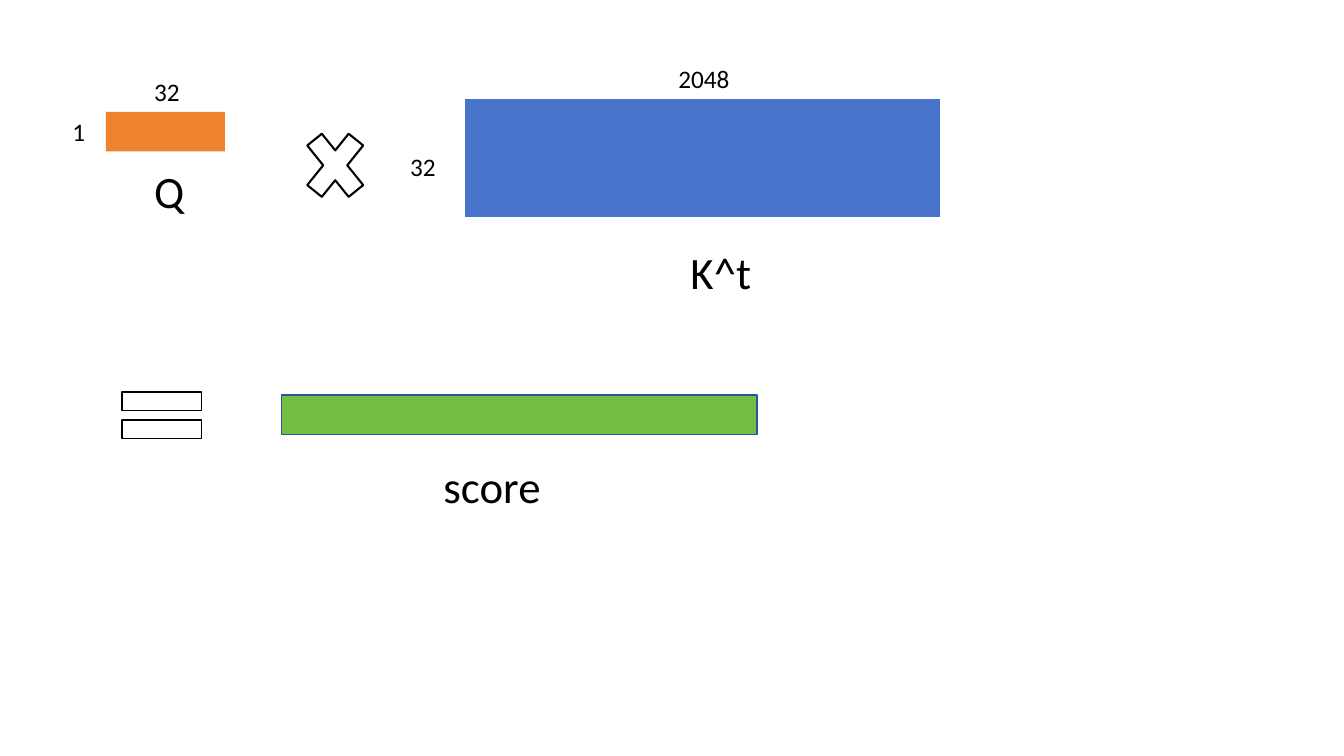
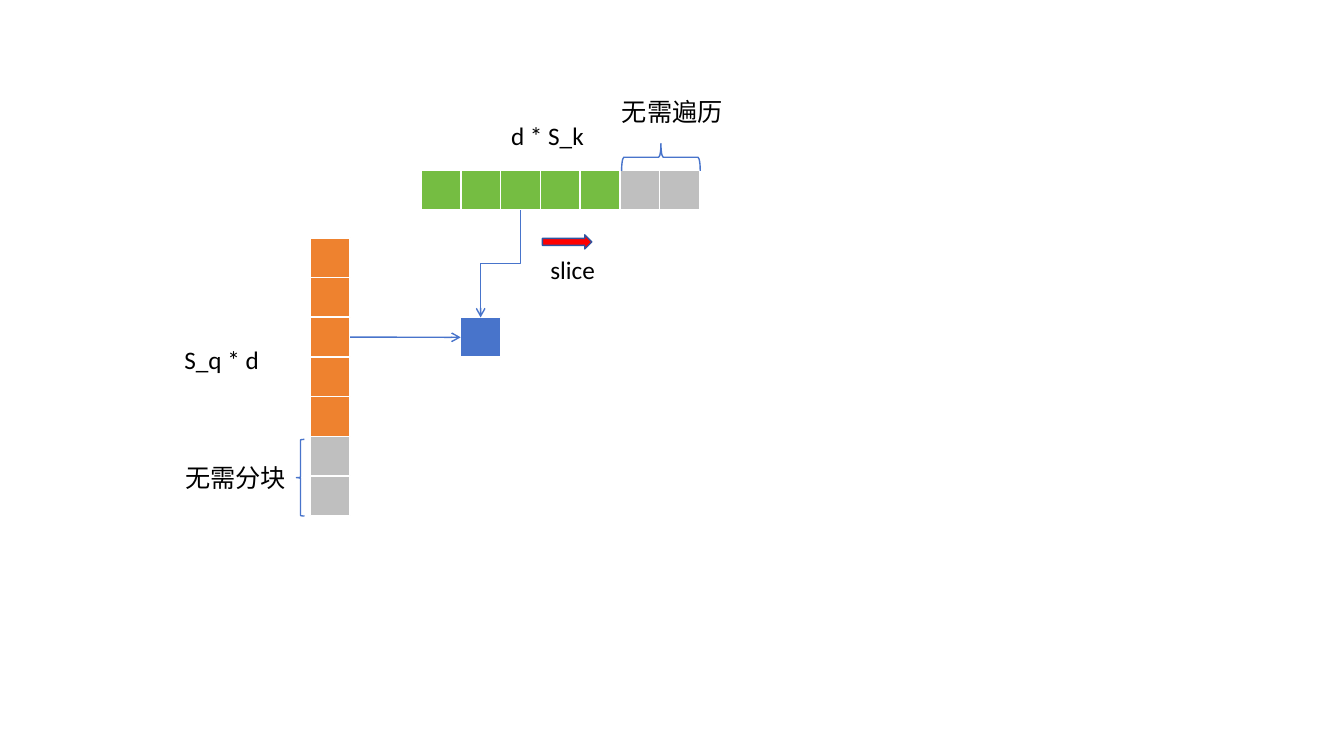
import lxml.etree
import pptx
import pptx.dml.color
import pptx.enum.shapes
import pptx.enum.text
import pptx.oxml.ns
import pptx.util

Inches = pptx.util.Inches
SHAPE = pptx.enum.shapes.MSO_SHAPE
CONNECTOR = pptx.enum.shapes.MSO_CONNECTOR
qn = pptx.oxml.ns.qn

COLORS = {
    "orange": "EE822F",
    "blue": "4874CB",
    "green": "75BD42",
    "grey": "BFBFBF",
    "red": "FF0000",
    "navy": "2E54A1",
    "black": "000000",
    "white": "FFFFFF",
}
LATIN = "Calibri"
CJK = "Noto Sans CJK SC"
CELL = 1 / 2.54  # one centimetre
BAR_WIDTH = 4.72
BLOCKS, USED = 7, 5
TOP, LEFT, BOTTOM, RIGHT = range(4)  # connection sites of a rectangle


def rgb(name):
    return pptx.dml.color.RGBColor.from_string(COLORS[name])


def add_shape(s, kind, x, y, w, h, fill=None, line=None, weight=1, rotation=0):
    sp = s.shapes.add_shape(kind, Inches(x), Inches(y), Inches(w), Inches(h))
    sp.shadow.inherit = False
    sp.rotation = rotation
    if fill:
        sp.fill.solid()
        sp.fill.fore_color.rgb = rgb(fill)
    else:
        sp.fill.background()
    if line:
        sp.line.color.rgb = rgb(line)
        sp.line.width = pptx.util.Pt(weight)
    else:
        sp.line.fill.background()
    return sp


def add_label(s, text, x, y, w, size=18, font=LATIN):
    height = 0.64 if size > 18 else 0.4
    tf = s.shapes.add_textbox(Inches(x), Inches(y), Inches(w), Inches(height)).text_frame
    tf.word_wrap = True
    tf.auto_size = pptx.enum.text.MSO_AUTO_SIZE.SHAPE_TO_FIT_TEXT
    tf.text = text
    r = tf.paragraphs[0].runs[0]
    r.font.size = pptx.util.Pt(size)
    r.font.name = font
    r.font.color.rgb = rgb("black")
    if font == CJK:
        ea = lxml.etree.Element(qn("a:ea"), typeface=font)
        r.font._element.find(qn("a:latin")).addnext(ea)


def add_cell(s, x, y, fill):
    return add_shape(s, SHAPE.RECTANGLE, x, y, CELL, CELL, fill, "white")


def add_blocks(s, x, y, dx, dy, fill):
    """Row or column of cells whose last ones are greyed out."""
    return [add_cell(s, x + i * dx, y + i * dy, fill if i < USED else "grey")
            for i in range(BLOCKS)]


def add_arrow(s, kind, start, start_site, end, end_site):
    c = s.shapes.add_connector(kind, 0, 0, 0, 0)
    c.begin_connect(start, start_site)
    c.end_connect(end, end_site)
    c.line.color.rgb = rgb("blue")
    c.line.width = pptx.util.Pt(1)
    lxml.etree.SubElement(c.line._get_or_add_ln(), qn("a:tailEnd"), type="arrow")
    lxml.etree.SubElement(c._element.spPr, qn("a:effectLst"))
    return c


def turn_downward(c):
    """Make an elbow that runs down to the left start and end vertically."""
    w, h = c.width, c.height
    c.left, c.top = c.left + (w - h) // 2, c.top + (h - w) // 2
    c.width, c.height = h, w
    xfrm = c._element.spPr.get_or_add_xfrm()
    xfrm.flipH = False
    xfrm.rot = 90


def build_score_slide(s):
    add_shape(s, SHAPE.RECTANGLE, 1.05, 1.11, 1.18, CELL, "orange")
    add_label(s, "1", 0.62, 1.11, 0.43)
    add_label(s, "32", 1.43, 0.71, 0.64)
    add_label(s, "Q", 1.43, 1.58, 0.43, 32)

    add_shape(s, SHAPE.MATH_MULTIPLY, 2.93, 1.15, 0.79, 0.98, line="black", weight=1.5)

    add_shape(s, SHAPE.RECTANGLE, 4.61, 0.98, BAR_WIDTH, 1.18, "blue", "white")
    add_label(s, "32", 3.97, 1.45, 0.64)
    add_label(s, "2048", 6.63, 0.58, 1.09)
    add_label(s, "K^t", 6.75, 2.38, 1.18, 32)

    add_shape(s, SHAPE.MATH_EQUAL, 1.07, 3.73, 1.07, 0.78, line="black")
    add_shape(s, SHAPE.RECTANGLE, 2.79, 3.92, BAR_WIDTH, CELL, "green", "navy")
    add_label(s, "score", 4.3, 4.5, 1.58, 32)


def build_blocks_slide(s):
    queries = add_blocks(s, 3.08, 2.36, 0, CELL, "orange")
    keys = add_blocks(s, 4.18, 1.69, CELL, 0, "green")
    result = add_cell(s, 4.57, 3.15, "blue")
    add_label(s, "S_q * d", 1.73, 3.37, 1.35)
    add_label(s, "d * S_k", 4.97, 1.14, 1.35)

    add_arrow(s, CONNECTOR.STRAIGHT, queries[2], RIGHT, result, LEFT)
    turn_downward(add_arrow(s, CONNECTOR.ELBOW, keys[2], BOTTOM, result, TOP))

    add_shape(s, SHAPE.RIGHT_ARROW, 5.38, 2.33, 0.49, 0.14, "red", "navy")
    add_label(s, "slice", 5.36, 2.47, 1.35)

    add_shape(s, SHAPE.LEFT_BRACE, 2.94, 4.36, 0.08, 0.76, line="blue")
    add_label(s, "无需分块", 1.74, 4.54, 1.35, font=CJK)
    add_shape(s, SHAPE.LEFT_BRACE, 6.42, 1.17, 0.27, 0.78, line="blue", rotation=90)
    add_label(s, "无需遍历", 6.07, 0.91, 1.35, font=CJK)


def main():
    prs = pptx.Presentation()
    prs.slide_width, prs.slide_height = Inches(13.33), Inches(7.5)
    for build in (build_score_slide, build_blocks_slide):
        build(prs.slides.add_slide(prs.slide_layouts[6]))
    prs.save("out.pptx")


if __name__ == "__main__":
    main()
